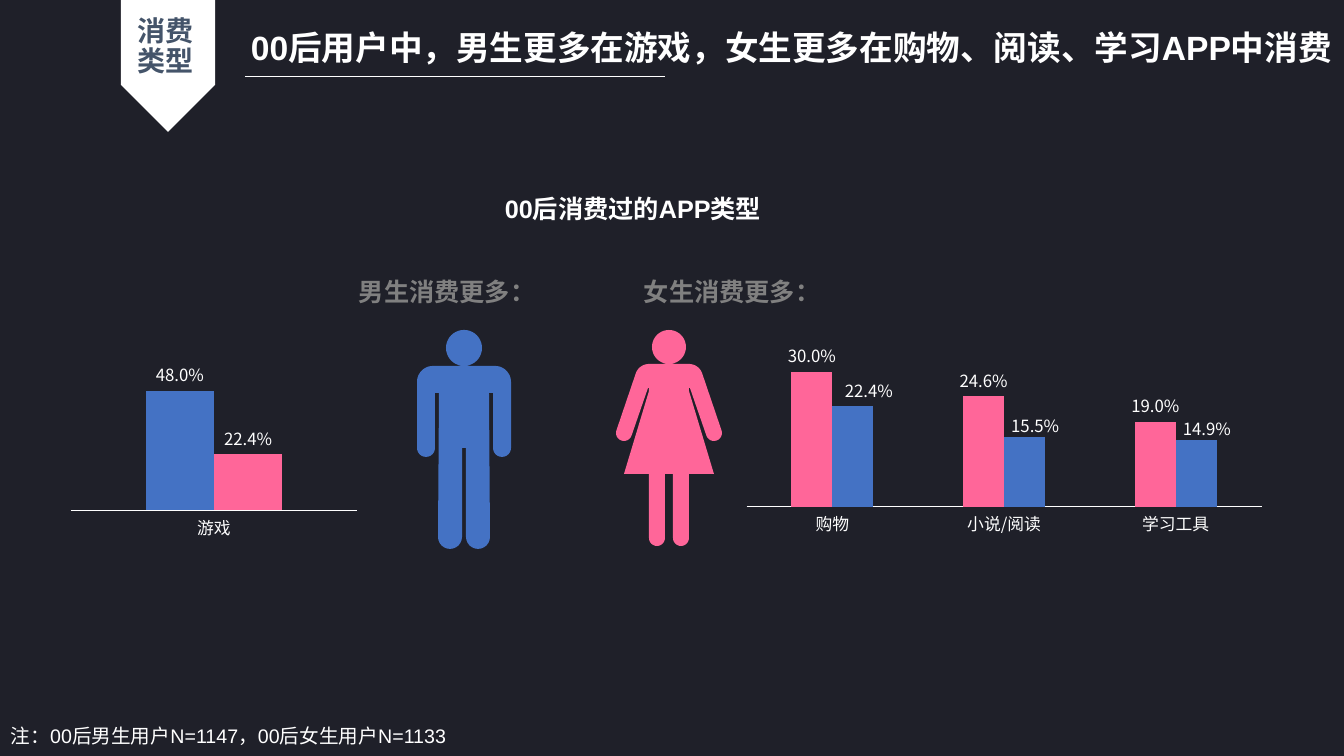
from copy import deepcopy
from math import cos, radians, sin

from lxml.etree import SubElement
from pptx import Presentation
from pptx.chart.data import CategoryChartData
from pptx.dml.color import RGBColor
from pptx.enum.chart import XL_CHART_TYPE as ChartType
from pptx.enum.chart import XL_LABEL_POSITION as LabelPosition
from pptx.enum.chart import XL_TICK_MARK as TickMark
from pptx.enum.lang import MSO_LANGUAGE_ID as Language
from pptx.enum.shapes import MSO_CONNECTOR as Connector
from pptx.enum.shapes import MSO_SHAPE as Shape
from pptx.enum.text import PP_ALIGN as Align
from pptx.oxml.ns import qn
from pptx.util import Inches, Pt

SCALE = Inches(1) / 100.8
NIGHT = RGBColor(0x1F, 0x20, 0x29)
WHITE = RGBColor(0xFF, 0xFF, 0xFF)
GREY = RGBColor(0x80, 0x80, 0x80)
SLATE = RGBColor(0x44, 0x54, 0x6A)
BLUE = RGBColor(0x44, 0x72, 0xC4)
PINK = RGBColor(0xFF, 0x66, 0x99)
LATIN, HAN = "Arial", "Noto Sans CJK SC"
PERCENT = "###0.0%"


def px(*lengths):
    """Turn pixel lengths into a list of EMU."""
    return [round(length * SCALE) for length in lengths]


def set_font(font, size, color, name, bold=False, east=LATIN):
    """Set the size, colour and typefaces of a font."""
    font.size, font.bold, font.name = Pt(size), bold, name
    font.fill.solid()
    font.fill.fore_color.rgb = color
    latin = font._element.find(qn("a:latin")) if hasattr(font, "_element") else font._rPr.find(qn("a:latin"))
    face = deepcopy(latin)
    face.tag = qn("a:ea")
    face.set("typeface", east)
    latin.addnext(face)


def add_text(page, text, frame, size, color=WHITE, name=LATIN, bold=True,
             align=Align.LEFT, spacing=None, before=None):
    """Add a wrapping text box with one formatted paragraph."""
    box = page.shapes.add_textbox(*px(*frame))
    box.text_frame.word_wrap = True
    para = box.text_frame.paragraphs[0]
    para.alignment, para.line_spacing = align, spacing
    if before:
        para.space_before = Pt(before)
    span = para.add_run()
    span.text = text
    set_font(span.font, size, color, name, bold)
    span.font.language_id = Language.SIMPLIFIED_CHINESE


def paint(shape, color):
    """Give a shape a plain fill without outline or shadow."""
    shape.shadow.inherit = False
    shape.fill.solid()
    shape.fill.fore_color.rgb = color
    shape.line.fill.background()


def add_rule(page, start, end):
    """Add a thin white straight line."""
    rule = page.shapes.add_connector(Connector.STRAIGHT, *px(*start, *end))
    rule.line.color.rgb = WHITE
    rule.line.width = Pt(0.5)
    SubElement(rule._element.spPr, qn("a:effectLst"))


def arc(x, y, radius, start, end, steps=12):
    """Return points along an arc, with angles in degrees."""
    angles = [radians(start + (end - start) * step / steps) for step in range(steps + 1)]
    return [(x + radius * cos(angle), y + radius * sin(angle)) for angle in angles]


def add_figure(page, axis, head, half_body, color):
    """Add a symmetric person from a head circle and the right half of a body."""
    mirrored = [(-x, y) for x, y in reversed(half_body)]
    body, face = [
        [px(axis + x, y) for x, y in outline]
        for outline in (half_body + mirrored, arc(0, *head, 0, 360, 40))
    ]
    builder = page.shapes.build_freeform(*body[0])
    builder.add_line_segments(body[1:])
    builder.move_to(*face[0])
    builder.add_line_segments(face[1:])
    paint(builder.convert_to_shape(), color)


def add_layout(parent, **values):
    """Return a manual chart layout with the given settings."""
    layout = SubElement(parent, qn("c:layout"))
    manual = SubElement(layout, qn("c:manualLayout"))
    for tag, value in values.items():
        SubElement(manual, qn(f"c:{tag}")).set("val", str(value))
    return layout


def shift_labels(series, shifts):
    """Move the value labels of a series by fractions of the chart."""
    labels = series.data_labels
    for index, (right, down) in enumerate(shifts):
        label = series.points[index].data_label
        label.position = LabelPosition.OUTSIDE_END
        set_font(label.font, 12, WHITE, HAN, east=HAN)
    number_format = labels._element.find(qn("c:numFmt"))
    for item, (right, down) in zip(labels._element.findall(qn("c:dLbl")), shifts):
        order = item.find(qn("c:idx"))
        order.addnext(deepcopy(number_format))
        order.addnext(add_layout(item, x=right, y=down))


def add_columns(page, frame, categories, rows, colors, top, shifts=()):
    """Add a clustered column chart with value labels and no value axis."""
    data = CategoryChartData(number_format=PERCENT)
    data.categories = categories
    for number, row in enumerate(rows, 1):
        data.add_series(f"Series {number}", row)
    chart = page.shapes.add_chart(ChartType.COLUMN_CLUSTERED, *px(*frame), data).chart
    chart.has_title = chart.has_legend = False
    set_font(chart.font, 12, WHITE, HAN, east=HAN)
    plot = chart.plots[0]
    plot.gap_width, plot.overlap, plot.vary_by_categories = 219, 0, False
    for series, color in zip(plot.series, colors):
        series.format.fill.solid()
        series.format.fill.fore_color.rgb = color
        labels = series.data_labels
        labels.show_value = True
        labels.number_format, labels.number_format_is_linked = PERCENT, False
        labels.position = LabelPosition.OUTSIDE_END
        set_font(labels.font, 12, WHITE, HAN, east=HAN)
    if shifts:
        shift_labels(plot.series[1], shifts)
    base, scale = chart.category_axis, chart.value_axis
    base.major_tick_mark = base.minor_tick_mark = TickMark.NONE
    base.format.line.color.rgb = WHITE
    base.format.line.width = Pt(0.75)
    set_font(base.tick_labels.font, 12, WHITE, HAN, east=HAN)
    scale.minimum_scale, scale.maximum_scale = 0, top
    scale.has_major_gridlines = scale.visible = False
    area = chart._chartSpace.chart.plotArea
    for layout in area.findall(qn("c:layout")):
        area.remove(layout)
    area.insert(0, add_layout(area, layoutTarget="inner", xMode="edge", yMode="edge",
                              x=0.02, y=0.16, w=0.97, h=0.65))


def main():
    """Build the slide on app spending by gender and save it."""
    deck = Presentation()
    deck.slide_width, deck.slide_height = px(1344, 756)
    page = deck.slides.add_slide(deck.slide_layouts[6])
    page.background.fill.solid()
    page.background.fill.fore_color.rgb = NIGHT

    ribbon = page.shapes.add_shape(Shape.PENTAGON, *px(102, 19, 132, 94))
    ribbon.rotation = 90
    paint(ribbon, WHITE)
    add_rule(page, (245, 76), (665, 76))
    add_text(page, "00后用户中，男生更多在游戏，女生更多在购物、阅读、学习APP中消费",
             (241, 27, 1119, 42), 24, spacing=0.9, before=10)

    woman = [(0, 364), *arc(20, 378, 14, -90, -20), *arc(45, 433, 8, -20, 160),
             (21, 388), (20, 388), (20, 391), (45, 474), (20, 474),
             *arc(12, 538, 8, 0, 180), (4, 474), (0, 474)]
    man = [(0, 366), *arc(31, 382, 16, -90, 0), *arc(38, 448, 9, 0, 180),
           (29, 393), (25, 393), *arc(14, 537, 12, 0, 180), (2, 448), (0, 448)]
    add_figure(page, 669, (347, 17), woman, PINK)
    add_figure(page, 464, (348, 18), man, BLUE)

    for text, left in (("女生消费更多：", 634), ("男生消费更多：", 349)):
        add_text(page, text, (left, 271, 205, 40), 18, GREY, HAN)
    add_text(page, "00后消费过的APP类型", (495, 188, 332, 40), 18)

    add_columns(page, (65, 324, 295, 230), ["游戏"], [[0.48], [0.224]], (BLUE, PINK), 0.6)
    add_columns(page, (736, 311, 531, 242), ["购物", "小说/阅读", "学习工具"],
                [[0.3, 0.246, 0.19], [0.224, 0.155, 0.149]], (PINK, BLUE), 0.35,
                [(0.03, 0), (0.02, 0.02), (0.02, 0.02)])

    add_text(page, "注：00后男生用户N=1147，00后女生用户N=1133", (1, 719, 563, 34), 14, bold=False)
    add_text(page, "消费类型", (125, 12, 82, 72), 20, SLATE, align=Align.CENTER,
             spacing=0.9, before=10)
    deck.save("out.pptx")


main()
